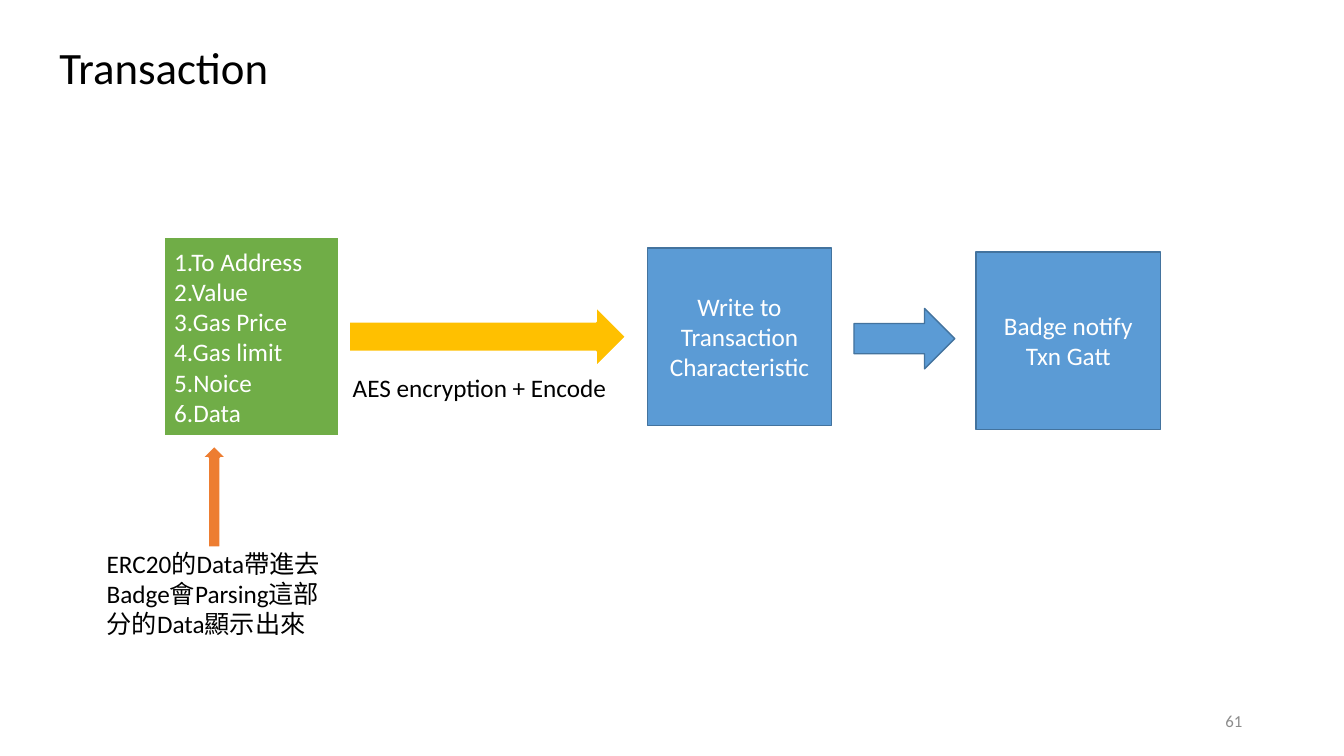
from pptx import Presentation
from pptx.dml.color import RGBColor
from pptx.enum.shapes import MSO_SHAPE
from pptx.enum.text import MSO_ANCHOR, MSO_AUTO_SIZE, PP_ALIGN
from pptx.util import Inches, Pt

RECTANGLE, ARROW = MSO_SHAPE.RECTANGLE, MSO_SHAPE.RIGHT_ARROW
LEFT, CENTER, RIGHT = PP_ALIGN.LEFT, PP_ALIGN.CENTER, PP_ALIGN.RIGHT
TOP, MIDDLE = MSO_ANCHOR.TOP, MSO_ANCHOR.MIDDLE
FIT_SHAPE = MSO_AUTO_SIZE.SHAPE_TO_FIT_TEXT

FONT = "Calibri"
COLORS = {
    "text": "000000",
    "white": "FFFFFF",
    "muted": "8C8C8C",
    "green": "70AD47",
    "yellow": "FFC000",
    "orange": "ED7D31",
    "blue": "5B9BD5",
    "blue_edge": "43739E",
}
FIELDS = ["1.To Address", "2.Value", "3.Gas Price", "4.Gas limit", "5.Noice", "6.Data"]


def color(name):
    return RGBColor.from_string(COLORS[name])


def write(frame, lines, ink, size=18, align=LEFT, anchor=TOP, wrap=True):
    """Fill a text frame with one paragraph per line."""
    frame.word_wrap = wrap
    frame.vertical_anchor = anchor
    for index, line in enumerate(lines):
        para = frame.paragraphs[0] if index == 0 else frame.add_paragraph()
        para.alignment = align
        span = para.add_run()
        span.text = line
        span.font.name = FONT
        span.font.size = Pt(size)
        span.font.color.rgb = color(ink)


def add_label(page, box, lines, ink="text", grow=True, **style):
    frame = page.shapes.add_textbox(*map(Inches, box)).text_frame
    write(frame, lines, ink, **style)
    if grow:
        frame.auto_size = FIT_SHAPE


def add_block(page, kind, box, fill, edge="white", weight=1.5):
    block = page.shapes.add_shape(kind, *map(Inches, box))
    block.shadow.inherit = False
    block.fill.solid()
    block.fill.fore_color.rgb = color(fill)
    block.line.color.rgb = color(edge)
    block.line.width = Pt(weight)
    return block


def add_input(page, box):
    """Transaction fields, with the data note and its upward arrow below."""
    left, top, width, height = box
    fields = add_block(page, RECTANGLE, box, "green")
    write(fields.text_frame, FIELDS, "white", anchor=MIDDLE)
    bottom = top + height
    arrow = add_block(page, ARROW, (left - 0.01, bottom + 0.47, 1.01, 0.25), "orange")
    arrow.rotation = 270
    add_label(page, (left - 0.67, bottom + 1.06, 2.5, 1.01),
              ["ERC20的Data帶進去", "Badge會Parsing這部分的Data顯示出來"])


def add_encoding(page, box):
    """Wide arrow with its caption underneath."""
    left, top, width, height = box
    add_block(page, ARROW, box, "yellow")
    add_label(page, (left - 0.06, top + height, width, 0.4),
              ["AES encryption + Encode"], wrap=False)


def add_step(page, box, lines):
    step = add_block(page, RECTANGLE, box, "blue", "blue_edge", 1)
    write(step.text_frame, lines, "white", align=CENTER, anchor=MIDDLE)


def add_device_steps(page, box):
    """Two steps at the ends of the box, joined by a block arrow."""
    left, top, width, height = box
    step_width, step_height = 1.83, 1.76
    add_step(page, (left, top, step_width, step_height),
             ["Write to Transaction Characteristic"])
    add_block(page, ARROW, (left + 2.05, top + (height - 0.6) / 2, 1, 0.6),
              "blue", "blue_edge", 1)
    add_step(page, (left + width - step_width, top + height - step_height,
                    step_width, step_height), ["Badge notify", "Txn Gatt"])


def main():
    deck = Presentation()
    deck.slide_width, deck.slide_height = Inches(13.33), Inches(7.5)
    page = deck.slides.add_slide(deck.slide_layouts[6])
    add_label(page, (0.49, 0.34, 2.3, 0.64), ["Transaction"], size=32, wrap=False)
    add_input(page, (1.63, 2.35, 1.73, 1.98))
    add_encoding(page, (3.46, 3.04, 2.75, 0.6))
    add_device_steps(page, (6.42, 2.46, 5.09, 1.8))
    add_label(page, (9.42, 6.95, 3, 0.4), ["61"], "muted", grow=False,
              size=12, align=RIGHT, anchor=MIDDLE)
    deck.save("out.pptx")


if __name__ == "__main__":
    main()
